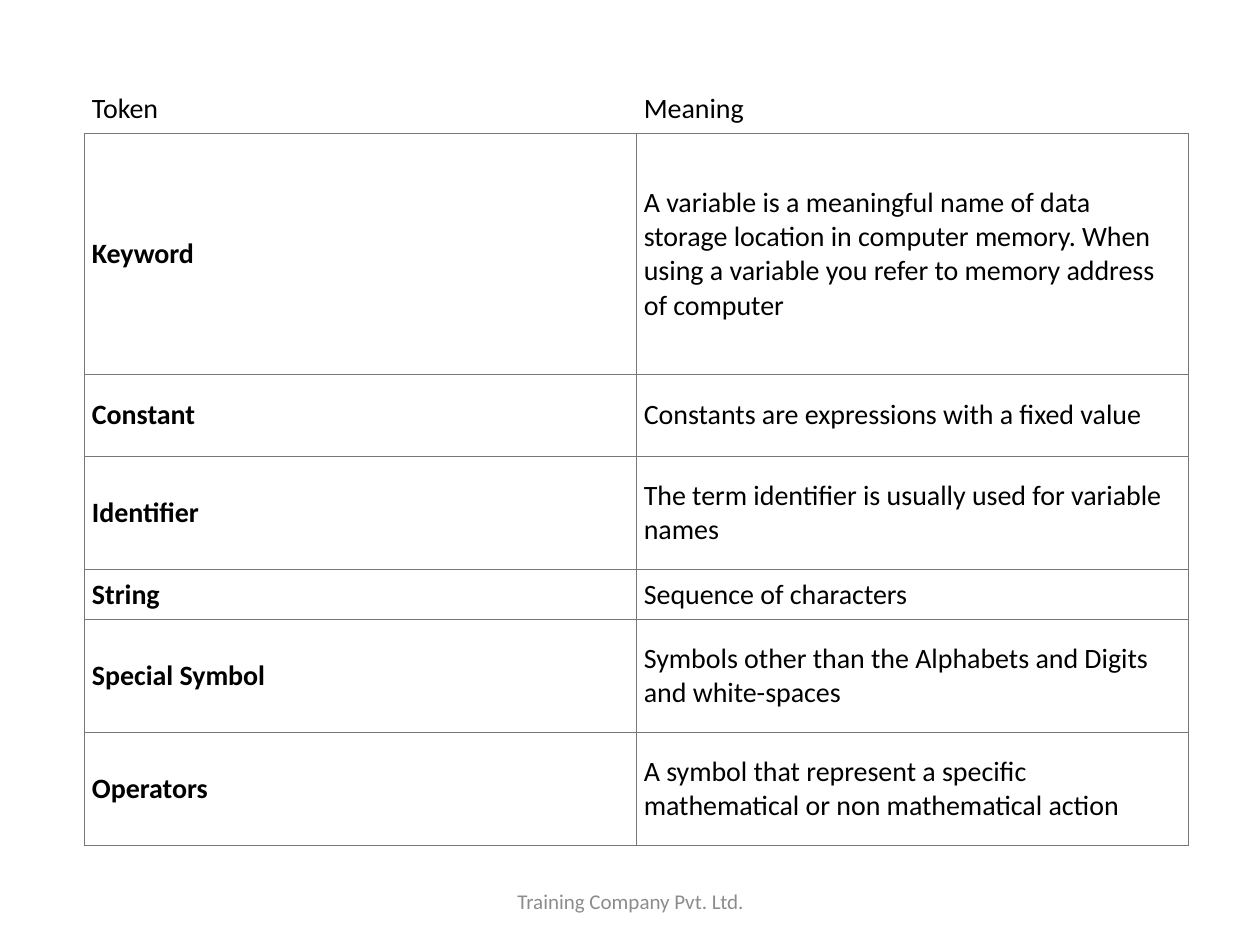
import pptx
import pptx.util
import pptx.dml.color
import pptx.enum.text
import pptx.oxml
import pptx.oxml.ns

Inches = pptx.util.Inches
Pt = pptx.util.Pt

# Content: row height, token, meaning
ROWS = [
    (0.39, "Token", "Meaning"),
    (1.91, "Keyword", "A variable is a meaningful name of data storage location in "
     "computer memory. When using a variable you refer to memory address of computer"),
    (0.65, "Constant", "Constants are expressions with a fixed value"),
    (0.9, "Identifier", "The term identifier is usually used for variable names"),
    (0.39, "String", "Sequence of characters"),
    (0.9, "Special Symbol", "Symbols other than the Alphabets and Digits and white-spaces"),
    (0.9, "Operators", "A symbol that represent a specific mathematical or non mathematical action"),
]
FOOTER = "Training Company Pvt. Ltd."
COLORS = {"text": "000000", "cell": "FFFFFF", "border": "777777", "footer": "8C8C8C"}
FONT = "Calibri"
COLUMN_WIDTH = 4.38
CELL_MARGIN = 0.06


def style_text(text_frame, size, color, bold=False):
    for paragraph in text_frame.paragraphs:
        for run in paragraph.runs:
            run.font.name = FONT
            run.font.size = Pt(size)
            run.font.bold = bold
            run.font.color.rgb = pptx.dml.color.RGBColor.from_string(COLORS[color])


def set_borders(cell, visible_sides):
    properties = cell._tc.get_or_add_tcPr()
    for index, side in enumerate("LRTB"):
        if side in visible_sides:
            fill = f'<a:solidFill><a:srgbClr val="{COLORS["border"]}"/></a:solidFill>'
        else:
            fill = "<a:noFill/>"
        line = pptx.oxml.parse_xml(
            f'<a:ln{side} {pptx.oxml.ns.nsdecls("a")} w="{Pt(0.75)}">{fill}</a:ln{side}>')
        properties.insert(index, line)


presentation = pptx.Presentation()
presentation.slide_width = Inches(10)
presentation.slide_height = Inches(7.5)
slide = presentation.slides.add_slide(presentation.slide_layouts[6])

# Token table
total_height = sum(row[0] for row in ROWS)
table = slide.shapes.add_table(
    len(ROWS), 2, Inches(0.67), Inches(0.67),
    Inches(2 * COLUMN_WIDTH), Inches(total_height)).table
table.first_row = False
table.horz_banding = False
for column in table.columns:
    column.width = Inches(COLUMN_WIDTH)

for row_index, (height, *texts) in enumerate(ROWS):
    is_header = row_index == 0
    table.rows[row_index].height = Inches(height)
    for column_index, text in enumerate(texts):
        cell = table.cell(row_index, column_index)
        cell.text_frame.text = text
        cell.vertical_anchor = pptx.enum.text.MSO_ANCHOR.MIDDLE
        cell.margin_left = cell.margin_right = Inches(CELL_MARGIN)
        cell.margin_top = cell.margin_bottom = Inches(CELL_MARGIN)
        cell.fill.solid()
        cell.fill.fore_color.rgb = pptx.dml.color.RGBColor.from_string(COLORS["cell"])
        style_text(cell.text_frame, 16, "text", bold=not is_header and column_index == 0)
        set_borders(cell, "B" if is_header else "LRTB")

# Footer
footer = slide.shapes.add_textbox(Inches(3.42), Inches(6.95), Inches(3.17), Inches(0.4))
footer.text_frame.text = FOOTER
footer.text_frame.word_wrap = True
footer.text_frame.vertical_anchor = pptx.enum.text.MSO_ANCHOR.MIDDLE
footer.text_frame.paragraphs[0].alignment = pptx.enum.text.PP_ALIGN.CENTER
style_text(footer.text_frame, 12, "footer")

presentation.save("out.pptx")
